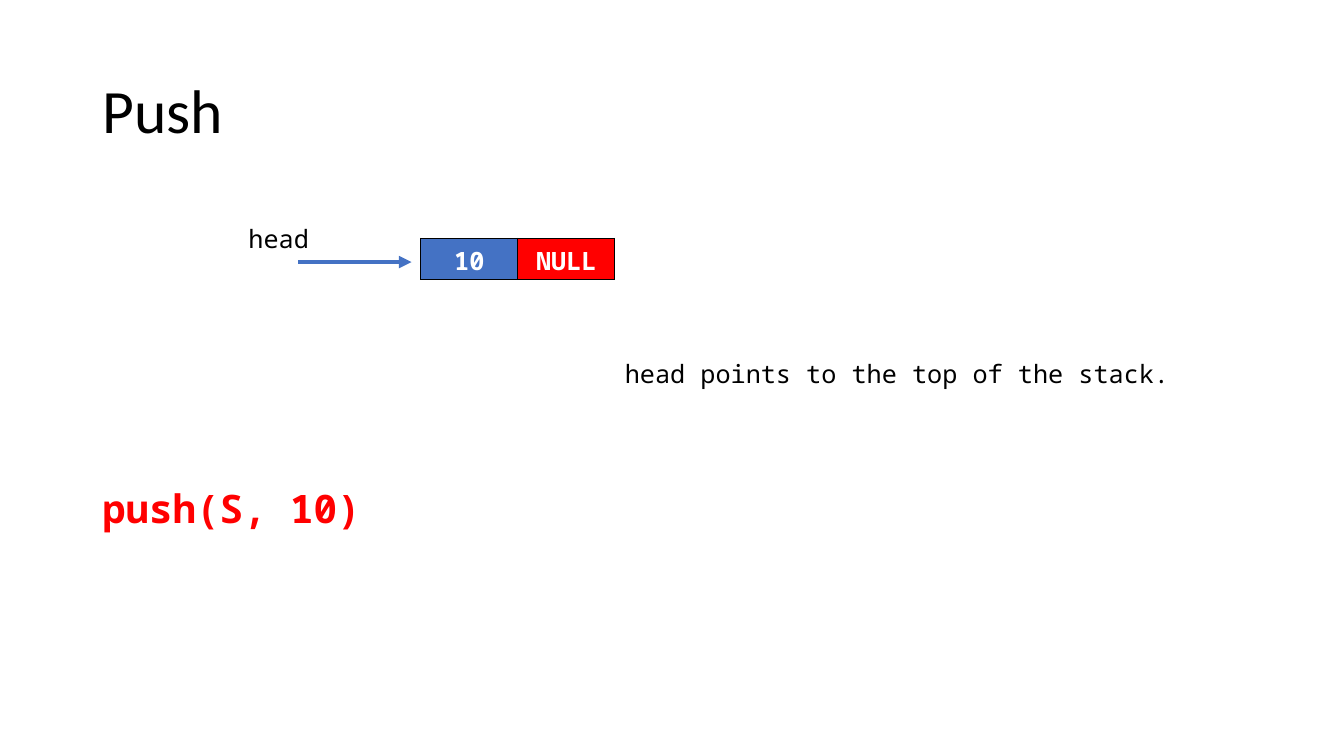
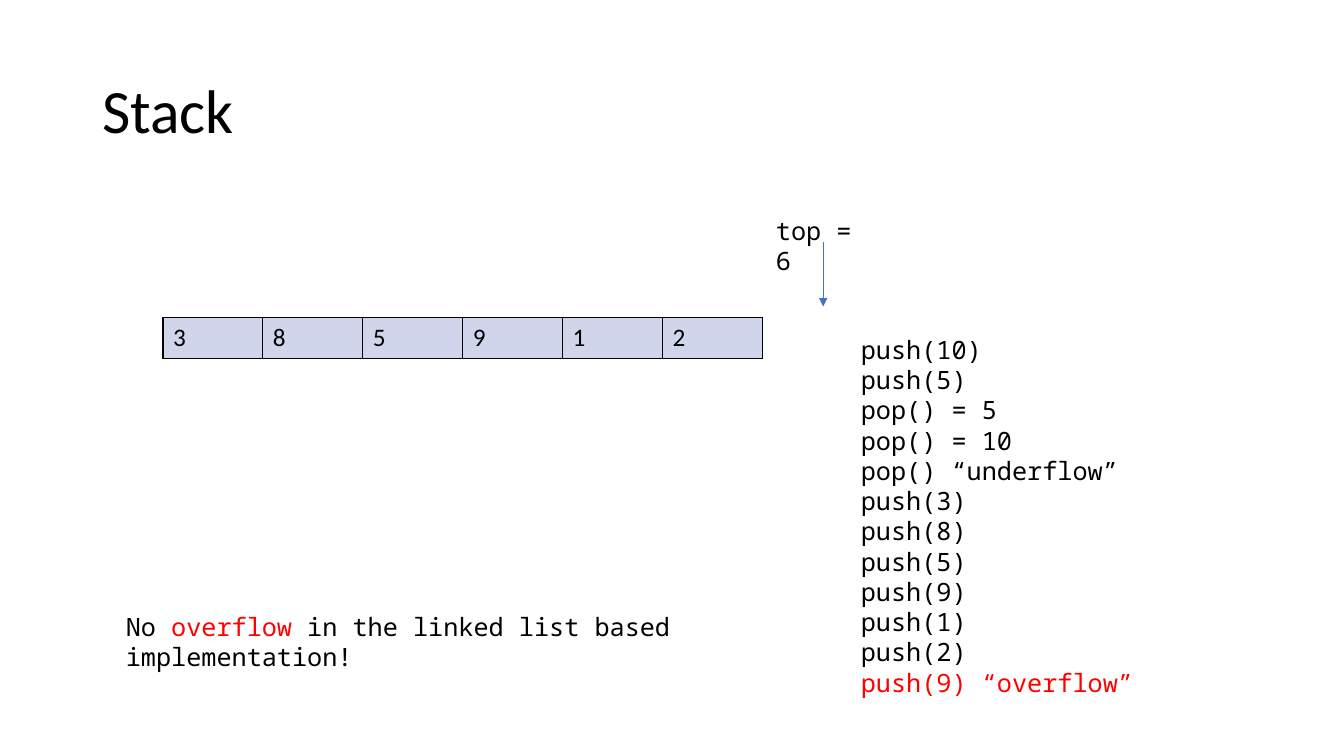
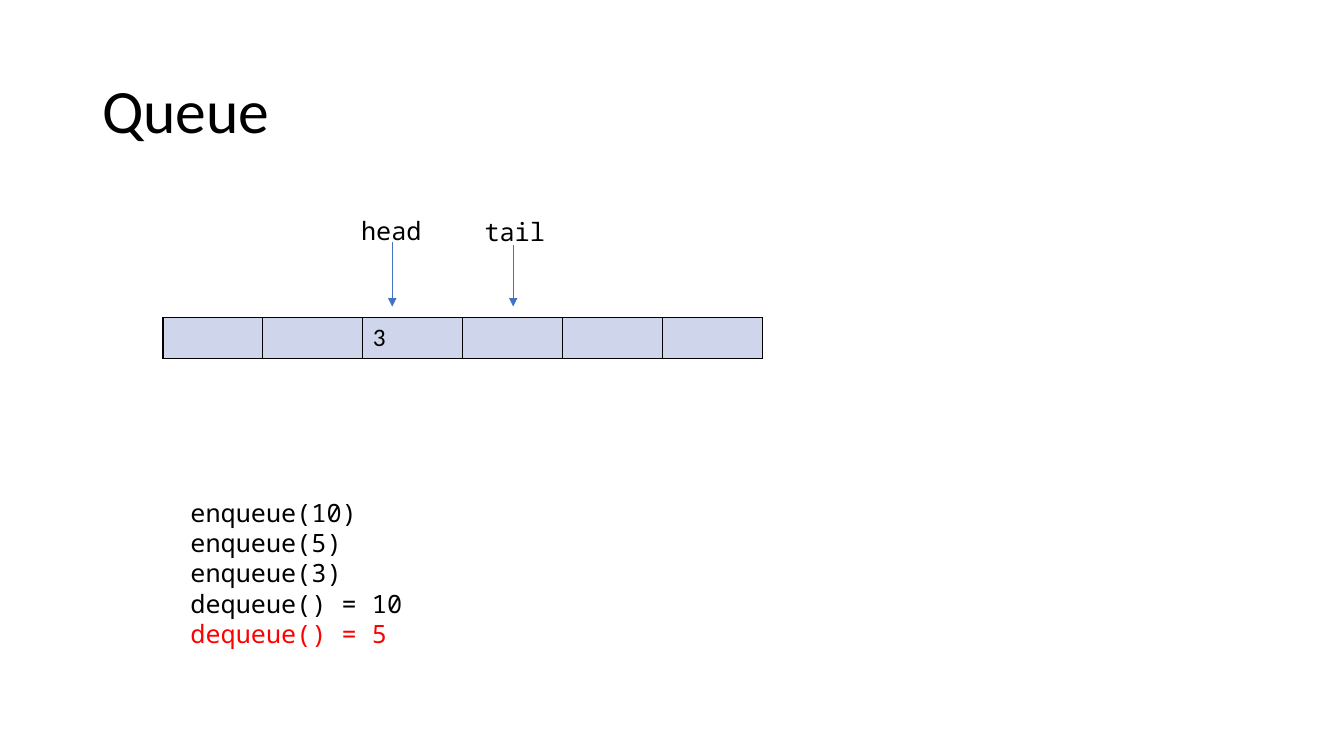
from dataclasses import dataclass

from lxml import etree
from pptx import Presentation
from pptx.dml.color import RGBColor
from pptx.enum.shapes import MSO_CONNECTOR
from pptx.enum.text import MSO_ANCHOR, MSO_AUTO_SIZE, PP_ALIGN
from pptx.oxml.ns import qn
from pptx.oxml.xmlchemy import OxmlElement
from pptx.slide import Slide
from pptx.util import Inches, Pt

STRAIGHT = MSO_CONNECTOR.STRAIGHT
MIDDLE = MSO_ANCHOR.MIDDLE
FIT_SHAPE = MSO_AUTO_SIZE.SHAPE_TO_FIT_TEXT
LEFT, CENTER = PP_ALIGN.LEFT, PP_ALIGN.CENTER

BLACK = RGBColor(0x00, 0x00, 0x00)
WHITE = RGBColor(0xFF, 0xFF, 0xFF)
RED = RGBColor(0xFF, 0x00, 0x00)
BLUE = RGBColor(0x44, 0x72, 0xC4)
PALE_BLUE = RGBColor(0xCF, 0xD5, 0xEA)

SANS = "Calibri"
MONO = "Noto Sans Mono"

# The page is a grid of 160 columns by 90 rows, twelve to the inch.
COLUMNS, ROWS = 160, 90
UNIT = Inches(1) / 12
LINE_ROWS, INSET_ROWS = 3.65, 1.2
CELL_ROWS = 4.9
ARROW_END = 36.5


@dataclass(frozen=True)
class Style:
    font: str = MONO
    size: float = 18
    color: RGBColor = BLACK
    bold: bool = False


CODE = Style()
ALERT = Style(color=RED)
TITLE = Style(SANS, 44)
CALL = Style(size=28, color=RED, bold=True)
ARRAY_TEXT = Style(SANS)
NODE_TEXT = Style(color=WHITE, bold=True)


@dataclass(frozen=True)
class Span:
    text: str
    style: Style = CODE


@dataclass(frozen=True)
class Cell:
    text: str
    fill: RGBColor = PALE_BLUE


@dataclass(frozen=True)
class Pointer:
    """A label and the thin arrow that drops from it to an array."""
    label: str
    left: float
    top: float
    width: float
    arrow_x: float
    arrow_top: float


def grid(count: float) -> int:
    return round(count * UNIT)


def apply_style(run, style: Style) -> None:
    run.font.name = style.font
    run.font.size = Pt(style.size)
    run.font.bold = style.bold
    run.font.color.rgb = style.color


def add_text(page: Slide, left: float, top: float, width: float,
             paras: list[list[Span]], lines: int = 1):
    box = page.shapes.add_textbox(grid(left), grid(top), grid(width),
                                  grid(lines * LINE_ROWS + INSET_ROWS))
    frame = box.text_frame
    frame.word_wrap = True
    frame.auto_size = FIT_SHAPE
    for index, spans in enumerate(paras):
        para = frame.paragraphs[0] if index == 0 else frame.add_paragraph()
        for span in spans:
            run = para.add_run()
            run.text = span.text
            apply_style(run, span.style)
    return box


def add_log(page: Slide, left: float, top: float, width: float,
            calls: list[str]) -> None:
    """List the calls, the latest one in red."""
    paras = [[Span(call)] for call in calls[:-1]]
    paras.append([Span(calls[-1], ALERT)])
    add_text(page, left, top, width, paras, len(calls))


def add_arrow(page: Slide, start: tuple[float, float],
              end: tuple[float, float], weight: float) -> None:
    arrow = page.shapes.add_connector(
        STRAIGHT, *(grid(value) for value in start + end))
    arrow.line.color.rgb = BLUE
    arrow.line.width = Pt(weight)
    tail = etree.SubElement(arrow.line._get_or_add_ln(), qn("a:tailEnd"))
    tail.set("type", "triangle")
    etree.SubElement(arrow._element.spPr, qn("a:effectLst"))


def add_pointer(page: Slide, pointer: Pointer) -> None:
    add_arrow(page, (pointer.arrow_x, pointer.arrow_top),
              (pointer.arrow_x, ARROW_END), 0.5)
    add_text(page, pointer.left, pointer.top, pointer.width,
             [[Span(pointer.label)]])


def set_borders(cell) -> None:
    properties = cell._tc.get_or_add_tcPr()
    for index, side in enumerate(("lnL", "lnR", "lnT", "lnB")):
        border = OxmlElement(f"a:{side}")
        border.set("w", str(Pt(1)))
        fill = etree.SubElement(border, qn("a:solidFill"))
        etree.SubElement(fill, qn("a:srgbClr")).set("val", str(BLACK))
        properties.insert(index, border)


def add_cells(page: Slide, left: float, top: float, cell_width: float,
              cells: list[Cell], style: Style, align: PP_ALIGN) -> None:
    """Draw a one-row table of equal cells."""
    table = page.shapes.add_table(
        1, len(cells), grid(left), grid(top),
        grid(cell_width * len(cells)), grid(CELL_ROWS)).table
    table.first_row = False
    table.horz_banding = False
    for index, content in enumerate(cells):
        table.columns[index].width = grid(cell_width)
        cell = table.cell(0, index)
        cell.fill.solid()
        cell.fill.fore_color.rgb = content.fill
        set_borders(cell)
        if content.text:
            para = cell.text_frame.paragraphs[0]
            para.text = content.text
            para.alignment = align
            apply_style(para.runs[0], style)


def add_array(page: Slide, values: list[str]) -> None:
    add_cells(page, 19.4, 37.8, 11.9, [Cell(value) for value in values],
              ARRAY_TEXT, LEFT)


def add_page(deck, title: str) -> Slide:
    page = deck.slides.add_slide(deck.slide_layouts[6])
    box = add_text(page, 11, 4.8, 138, [[Span(title, TITLE)]])
    box.text_frame.auto_size = MSO_AUTO_SIZE.NONE
    box.text_frame.vertical_anchor = MIDDLE
    box.text_frame.paragraphs[0].line_spacing = 0.9
    box.height = grid(17.4)
    return page


def build_push(deck) -> None:
    page = add_page(deck, "Push")
    add_text(page, 11, 57.1, 138, [[Span("push(S, 10)", CALL)]], 2)
    add_cells(page, 50.1, 28.4, 11.55, [Cell("10", BLUE), Cell("NULL", RED)],
              NODE_TEXT, CENTER)
    add_arrow(page, (35.5, 31.2), (49, 31.2), 3)
    add_text(page, 28.4, 26, 17.9, [[Span("head")]])
    add_text(page, 73.2, 42.1, 69.5,
             [[Span("head points to the top of the stack.")]])


def build_stack(deck) -> None:
    page = add_page(deck, "Stack")
    add_array(page, ["3", "8", "5", "9", "1", "2"])
    add_pointer(page, Pointer("top = 6", 91.2, 25, 14.5, 98, 28.8))
    add_log(page, 101.3, 39.2, 49.6, [
        "push(10)", "push(5)", "pop() = 5", "pop() = 10",
        "pop() “underflow”", "push(3)", "push(8)", "push(5)", "push(9)",
        "push(1)", "push(2)", "push(9) “overflow”"])
    add_text(page, 13.8, 72.2, 67.4, [[
        Span("No "), Span("overflow", ALERT),
        Span(" in the linked list based implementation!")]], 2)


def build_queue(deck) -> None:
    page = add_page(deck, "Queue")
    add_array(page, ["", "", "3", "", "", ""])
    for pointer in (Pointer("head", 41.8, 25, 12.1, 46.7, 28.8),
                    Pointer("tail", 56.5, 25.1, 12.1, 61.1, 29.2)):
        add_pointer(page, pointer)
    add_log(page, 21.5, 58.6, 44.4, [
        "enqueue(10)", "enqueue(5)", "enqueue(3)", "dequeue() = 10",
        "dequeue() = 5"])


def main() -> None:
    deck = Presentation()
    deck.slide_width = grid(COLUMNS)
    deck.slide_height = grid(ROWS)
    for build in (build_push, build_stack, build_queue):
        build(deck)
    deck.save("out.pptx")


if __name__ == "__main__":
    main()
